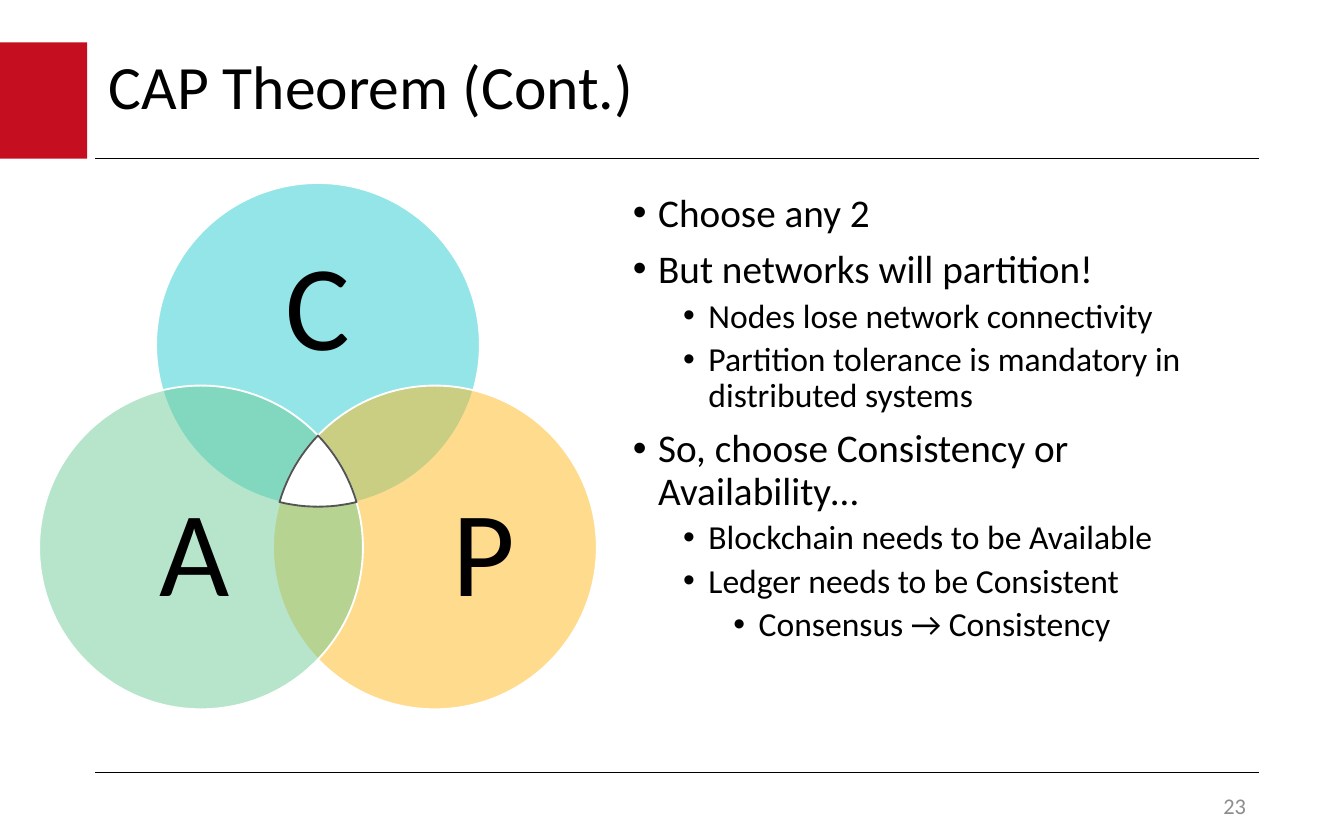
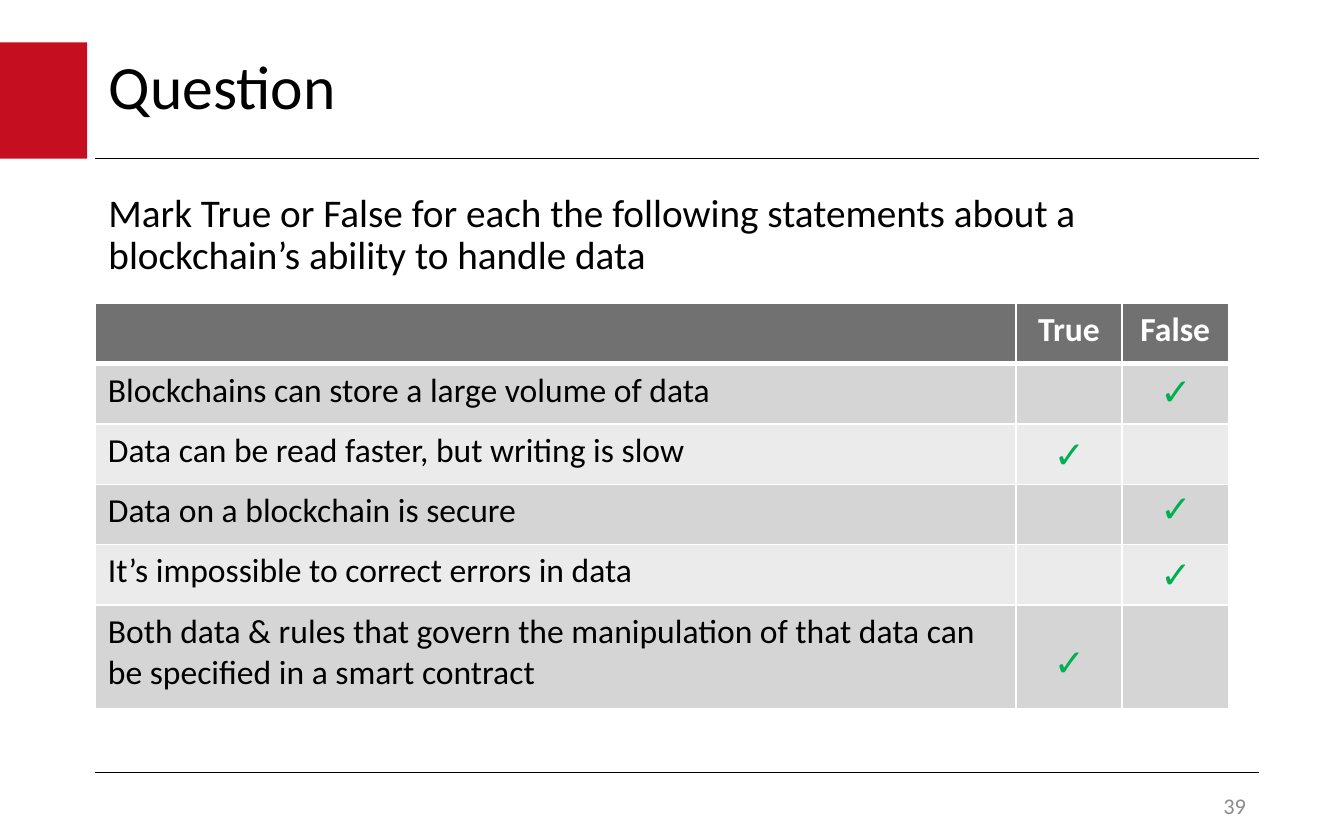
import math
from dataclasses import dataclass

from lxml import etree
from pptx import Presentation
from pptx.dml.color import RGBColor
from pptx.enum import shapes, text
from pptx.oxml import ns
from pptx.util import Cm, Pt

# Content
CAP_TITLE, CAP_NUMBER = "CAP Theorem (Cont.)", "23"
CAP_POINTS = [
    (0, "Choose any 2"),
    (0, "But networks will partition!"),
    (1, "Nodes lose network connectivity"),
    (1, "Partition tolerance is mandatory in distributed systems"),
    (0, "So, choose Consistency or Availability…"),
    (1, "Blockchain needs to be Available"),
    (1, "Ledger needs to be Consistent"),
    (2, "Consensus → Consistency"),
]
# letter: circle centre, letter centre (cm), fill
VENN = {
    "C": ((6.01, 6.52), (6.01, 5.89), "2BCCD3"),
    "P": ((8.22, 10.35), (9.14, 10.54), "FFB81D"),
    "A": ((3.8, 10.35), (3.67, 10.54), "71CD98"),
}
VENN_RADIUS = 3.06

QUIZ_TITLE, QUIZ_NUMBER = "Question", "39"
QUIZ_PROMPT = ("Mark True or False for each the following statements "
               "about a blockchain’s ability to handle data")
QUIZ_HEADER = ["", "True", "False"]
# statement, answer column, top of its tick (cm)
QUIZ = [
    ("Blockchains can store a large volume of data", 2, 6.83),
    ("Data can be read faster, but writing is slow", 1, 8.03),
    ("Data on a blockchain is secure", 2, 9.04),
    ("It’s impossible to correct errors in data", 2, 10.29),
    ("Both data & rules that govern the manipulation of that data can "
     "be specified in a smart contract", 1, 11.96),
]
QUIZ_COLS = [17.4, 2.01, 2.01]
QUIZ_ROWS = [1.14] * 5 + [1.96]


@dataclass(frozen=True)
class Theme:
    font: str = "Calibri"
    tick_font: str = "Lato"
    ink: str = "000000"
    paper: str = "FFFFFF"
    red: str = "C50E1F"
    grey: str = "8C8C8C"
    outline: str = "545454"
    tick: str = "00B050"
    header: str = "717171"
    bands: tuple = ("D5D5D5", "EBEBEB")
    title: int = 33
    body: int = 21
    small: int = 18
    letter: int = 65
    tick_size: int = 20
    number: int = 12


T = Theme()
LEFT, RIGHT, BODY_TOP = 1.8, 23.8, 3.53


# Helpers
def add_run(p, words, size, color=T.ink, font=T.font, bold=False):
    r = p.add_run()
    r.text = words
    r.font.size, r.font.name, r.font.bold = Pt(size), font, bold
    r.font.color.rgb = RGBColor.from_string(color)


def add_box(s, x, y, w, h, anchor=text.MSO_ANCHOR.TOP, align=text.PP_ALIGN.LEFT):
    tf = s.shapes.add_textbox(Cm(x), Cm(y), Cm(w), Cm(h)).text_frame
    tf.word_wrap = True
    tf.vertical_anchor = anchor
    tf.paragraphs[0].alignment = align
    return tf


def paint(sp, fill, line=None, alpha=None):
    sp.shadow.inherit = False
    sp.fill.solid()
    sp.fill.fore_color.rgb = RGBColor.from_string(fill)
    if alpha:
        clr = sp.fill._xPr.find(".//" + ns.qn("a:srgbClr"))
        etree.SubElement(clr, ns.qn("a:alpha")).set("val", str(alpha * 1000))
    if line:
        sp.line.color.rgb = RGBColor.from_string(line)
        sp.line.width = Pt(1)
    else:
        sp.line.fill.background()


def add_rule(s, y):
    c = s.shapes.add_connector(shapes.MSO_CONNECTOR.STRAIGHT,
                               Cm(LEFT), Cm(y), Cm(RIGHT), Cm(y))
    c.line.color.rgb = RGBColor.from_string(T.ink)
    c.line.width = Pt(0.75)
    etree.SubElement(c._element.spPr, ns.qn("a:effectLst"))


def set_bullet(p, level):
    p.level = level
    pPr = p._p.get_or_add_pPr()
    pPr.set("marL", str(Cm(0.48 + 0.95 * level)))
    pPr.set("indent", str(-Cm(0.48)))
    etree.SubElement(pPr, ns.qn("a:buFont")).set("typeface", "Arial")
    etree.SubElement(pPr, ns.qn("a:buChar")).set("char", "•")


def set_borders(cell, top, bottom):
    tcPr = cell._tc.get_or_add_tcPr()
    for side, width in (("L", 1), ("R", 1), ("T", top), ("B", bottom)):
        ln = etree.SubElement(tcPr, ns.qn("a:ln" + side), w=str(Pt(width)))
        fill = etree.SubElement(ln, ns.qn("a:solidFill"))
        etree.SubElement(fill, ns.qn("a:srgbClr"), val=T.paper)


def add_slide(prs, title, number):
    """Title, red block, rules and slide number shared by all slides."""
    s = prs.slides.add_slide(prs.slide_layouts[5])
    block = s.shapes.add_shape(shapes.MSO_SHAPE.RECTANGLE,
                               0, Cm(0.8), Cm(1.65), Cm(2.2))
    paint(block, T.red)
    add_rule(s, 3)
    add_rule(s, 14.6)
    sp = s.shapes.title
    sp.left, sp.top, sp.width, sp.height = Cm(LEFT), Cm(0.8), Cm(18.42), Cm(1.8)
    tf = sp.text_frame
    tf.auto_size = text.MSO_AUTO_SIZE.NONE
    tf.vertical_anchor = text.MSO_ANCHOR.MIDDLE
    p = tf.paragraphs[0]
    p.alignment, p.line_spacing = text.PP_ALIGN.LEFT, 0.9
    add_run(p, title, T.title)
    tf = add_box(s, 18.65, 14.91, 5.15, 0.64,
                 text.MSO_ANCHOR.MIDDLE, text.PP_ALIGN.RIGHT)
    add_run(tf.paragraphs[0], number, T.number, T.grey)
    return s


# Venn diagram
def inner_point(a, b, toward):
    """The crossing of two circles that lies nearer to a third centre."""
    half = math.dist(a, b) / 2
    rise = math.sqrt(VENN_RADIUS ** 2 - half ** 2)
    mx, my = (a[0] + b[0]) / 2, (a[1] + b[1]) / 2
    ux, uy = (b[0] - a[0]) / (2 * half), (b[1] - a[1]) / (2 * half)
    pair = [(mx - k * uy, my + k * ux) for k in (rise, -rise)]
    return min(pair, key=lambda pt: math.dist(pt, toward))


def arc(centre, start, end, steps=12):
    t0, t1 = (math.atan2(y - centre[1], x - centre[0]) for x, y in (start, end))
    return [(centre[0] + VENN_RADIUS * math.cos(t0 + (t1 - t0) * i / steps),
             centre[1] + VENN_RADIUS * math.sin(t0 + (t1 - t0) * i / steps))
            for i in range(steps + 1)]


def add_venn(s):
    for letter, ((cx, cy), (lx, ly), fill) in VENN.items():
        r = VENN_RADIUS
        circle = s.shapes.add_shape(shapes.MSO_SHAPE.OVAL, Cm(cx - r), Cm(cy - r),
                                    Cm(2 * r), Cm(2 * r))
        paint(circle, fill, T.paper, alpha=50)
        w, h = 3.66, 3.35
        tf = add_box(s, lx - w / 2, ly - h / 2, w, h,
                     text.MSO_ANCHOR.MIDDLE, text.PP_ALIGN.CENTER)
        tf.margin_left = tf.margin_right = tf.margin_top = tf.margin_bottom = 0
        tf.paragraphs[0].line_spacing = 0.9
        add_run(tf.paragraphs[0], letter, T.letter)

    # White centre where all three circles meet
    c, p, a = (VENN[k][0] for k in "CPA")
    top, right, left = inner_point(a, p, c), inner_point(a, c, p), inner_point(c, p, a)
    outline = arc(a, top, right) + arc(c, right, left) + arc(p, left, top)
    points = [(Cm(x), Cm(y)) for x, y in outline]
    fb = s.shapes.build_freeform(*points[0])
    fb.add_line_segments(points[1:], close=True)
    paint(fb.convert_to_shape(), T.paper, T.outline)


def build_cap(prs):
    s = add_slide(prs, CAP_TITLE, CAP_NUMBER)
    tf = add_box(s, 11.71, BODY_TOP, 12.09, 9.93)
    for i, (level, words) in enumerate(CAP_POINTS):
        p = tf.add_paragraph() if i else tf.paragraphs[0]
        set_bullet(p, level)
        p.line_spacing = 0.9
        if i:
            p.space_before = Pt(3.8 if level else 7.5)
        add_run(p, words, T.small if level else T.body)
    add_venn(s)


# Quiz table
def build_quiz(prs):
    s = add_slide(prs, QUIZ_TITLE, QUIZ_NUMBER)
    tf = add_box(s, LEFT, BODY_TOP, 22, 2)
    tf.paragraphs[0].line_spacing = 0.9
    add_run(tf.paragraphs[0], QUIZ_PROMPT, T.body)

    rows = [QUIZ_HEADER] + [[statement, "", ""] for statement, _, _ in QUIZ]
    table = s.shapes.add_table(len(rows), len(QUIZ_COLS), Cm(LEFT), Cm(5.74),
                               Cm(sum(QUIZ_COLS)), Cm(sum(QUIZ_ROWS))).table
    for col, width in zip(table.columns, QUIZ_COLS):
        col.width = Cm(width)
    for i, row in enumerate(rows):
        table.rows[i].height = Cm(QUIZ_ROWS[i])
        for j, words in enumerate(row):
            cell = table.cell(i, j)
            set_borders(cell, 3 if i == 1 else 1, 1 if i else 3)
            cell.fill.solid()
            cell.fill.fore_color.rgb = RGBColor.from_string(
                T.bands[(i - 1) % 2] if i else T.header)
            cell.margin_left = cell.margin_right = Cm(0.24)
            cell.margin_top = cell.margin_bottom = Cm(0.12)
            if words:
                p = cell.text_frame.paragraphs[0]
                p.alignment = text.PP_ALIGN.LEFT if i else text.PP_ALIGN.CENTER
                add_run(p, words, T.small, T.ink if i else T.paper, bold=not i)

    # Ticks centred over their answer column
    w, h = 1.07, 1.12
    for _, col, top in QUIZ:
        centre = LEFT + sum(QUIZ_COLS[:col]) + QUIZ_COLS[col] / 2
        tf = add_box(s, centre - w / 2, top, w, h, align=text.PP_ALIGN.CENTER)
        tf.word_wrap = False
        tf.auto_size = text.MSO_AUTO_SIZE.SHAPE_TO_FIT_TEXT
        add_run(tf.paragraphs[0], "✓", T.tick_size, T.tick, T.tick_font, True)


def main():
    prs = Presentation()
    prs.slide_width, prs.slide_height = Cm(25.4), Cm(15.88)
    build_cap(prs)
    build_quiz(prs)
    prs.save("out.pptx")


if __name__ == "__main__":
    main()
